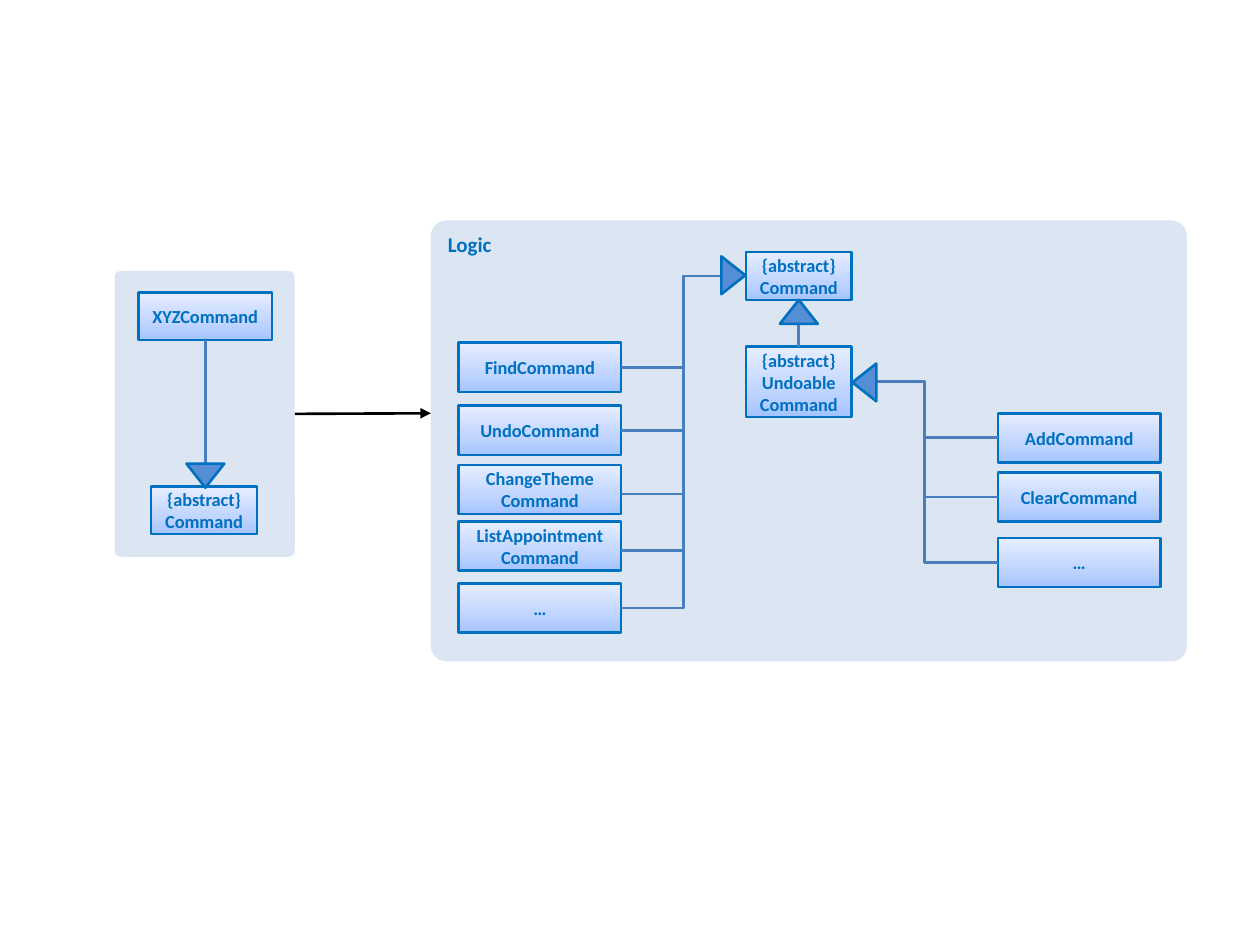
import copy

import pptx
import pptx.dml.color
import pptx.enum.shapes
import pptx.enum.text
import pptx.oxml
import pptx.oxml.ns
import pptx.util

deck = pptx.Presentation()
deck.slide_width = pptx.util.Inches(10)
deck.slide_height = pptx.util.Inches(7.5)
slide = deck.slides.add_slide(deck.slide_layouts[6])

col = deck.slide_width / 100
row = deck.slide_height / 75
hue = pptx.dml.color.RGBColor.from_string
qn = pptx.oxml.ns.qn
kinds = pptx.enum.shapes.MSO_SHAPE
wires = pptx.enum.shapes.MSO_CONNECTOR
aligns = pptx.enum.text.PP_ALIGN
anchors = pptx.enum.text.MSO_ANCHOR

BLUE, WIRE, PALE, HEAD = "0070C0", "4B7EBC", "DCE6F2", "558ED5"
FADE = [(0, "A4C4FF"), (0.35, "BFD4FF"), (1, "E6EEFF")]
FONT = {"name": "Calibri", "bold": True}
FRAME = {"margin_left": 0, "margin_right": 0, "margin_top": 0,
         "margin_bottom": 0, "vertical_anchor": anchors.MIDDLE}


def block(kind, x, y, w, h, fill=None, edge=BLUE, text="", size=10.5, align=aligns.CENTER):
    """Add a shape in grid units; without a fill colour it gets the gradient."""
    shape = slide.shapes.add_shape(kind, int(x * col), int(y * row), int(w * col), int(h * row))
    shape.shadow.inherit = False
    if fill:
        shape.fill.solid()
        shape.fill.fore_color.rgb = hue(fill)
    else:
        shape.fill.gradient()
        shape.fill.gradient_angle = 90
        stops = shape._element.spPr.find(".//" + qn("a:gsLst"))
        stops.insert(1, copy.deepcopy(stops[0]))
        for stop, (place, shade) in zip(shape.fill.gradient_stops, FADE):
            stop.position = place
            stop.color.rgb = hue(shade)
    if edge:
        shape.line.color.rgb = hue(edge)
        shape.line.width = pptx.util.Pt(1.5)
    else:
        shape.line.fill.background()
    if text:
        shape.text_frame.text = text
        shape.text_frame.word_wrap = True
        for para in shape.text_frame.paragraphs:
            para.alignment = align
            para.font.size = pptx.util.Pt(size)
            para.font.color.rgb = hue(BLUE)
            for key, val in FONT.items():
                setattr(para.font, key, val)
    return shape


def link(x1, y1, x2, y2, kind=wires.STRAIGHT, shade=WIRE):
    """Add a connector in grid units."""
    line = slide.shapes.add_connector(kind, int(x1 * col), int(y1 * row),
                                      int(x2 * col), int(y2 * row))
    line.line.color.rgb = hue(shade)
    line.line.width = pptx.util.Pt(1.5)
    pptx.oxml.xmlchemy.OxmlElement("a:effectLst")
    line._element.spPr.append(pptx.oxml.xmlchemy.OxmlElement("a:effectLst"))
    return line


# Panels
side = block(kinds.ROUNDED_RECTANGLE, 9.1, 21.5, 14.3, 22.7, PALE, None)
logic = block(kinds.ROUNDED_RECTANGLE, 34.2, 17.5, 60, 35, PALE, None,
              "Logic", 12, aligns.LEFT)
logic.text_frame.vertical_anchor = anchors.TOP
for panel in (side, logic):
    panel.adjustments[0] = 0.035

# Class boxes
BOXES = [
    ("xyz", "XYZCommand", 11, 23.2, 10.6, 3.8),
    ("base", "{abstract}\vCommand", 12, 38.6, 8.4, 3.8),
    ("root", "{abstract}\vCommand", 59.2, 20, 8.4, 3.8),
    ("undo", "{abstract}\vUndoable\nCommand", 59.2, 27.5, 8.4, 5.6),
]
LEFT = [("FindCommand", 27.2), ("UndoCommand", 32.2), ("ChangeTheme\nCommand", 36.9),
        ("ListAppointment\nCommand", 41.4), ("…", 46.3)]
RIGHT = [("AddCommand", 32.8), ("ClearCommand", 37.5), ("…", 42.7)]
for group, x, names in (("left", 36.4, LEFT), ("right", 79.2, RIGHT)):
    BOXES += [(f"{group}{i}", text, x, y, 12.9, 3.9) for i, (text, y) in enumerate(names)]

box = {}
for name, text, *area in BOXES:
    box[name] = block(kinds.RECTANGLE, *area, text=text)
    for key, val in FRAME.items():
        setattr(box[name].text_frame, key, val)

# Inheritance lines
TREE = [("root", 1, f"left{i}", 3) for i in (0, 1, 4)]
TREE += [("undo", 3, f"right{i}", 1) for i in range(3)]
for top, start, low, end in TREE:
    wire = link(0, 0, 1, 1, wires.ELBOW)
    wire.begin_connect(box[top], start)
    wire.end_connect(box[low], end)
for y in (39.2, 43.7):
    link(54.2, y, 49.3, y)
stem = link(63.4, 23.8, 63.4, 27.5)
stem.begin_connect(box["root"], 2)
stem.end_connect(box["undo"], 0)
link(16.3, 27, 16.3, 36.8).begin_connect(box["xyz"], 2)

# Inheritance arrowheads: left, top and turn
for x, y, turn in ((61.9, 23.8, 0), (67.1, 29.4, 270), (56.7, 20.9, 90), (14.8, 36.8, 180)):
    block(kinds.ISOSCELES_TRIANGLE, x, y, 3, 1.9, HEAD).rotation = turn

# Arrow between the panels
arrow = link(23.4, 32.8, 34.2, 32.8, shade="000000")
arrow.begin_connect(side, 3)
arrow.end_x, arrow.end_y = int(34.2 * col), int(32.8 * row)
tip = pptx.oxml.xmlchemy.OxmlElement("a:tailEnd")
tip.set("type", "triangle")
arrow.line._get_or_add_ln().append(tip)

deck.save("out.pptx")
